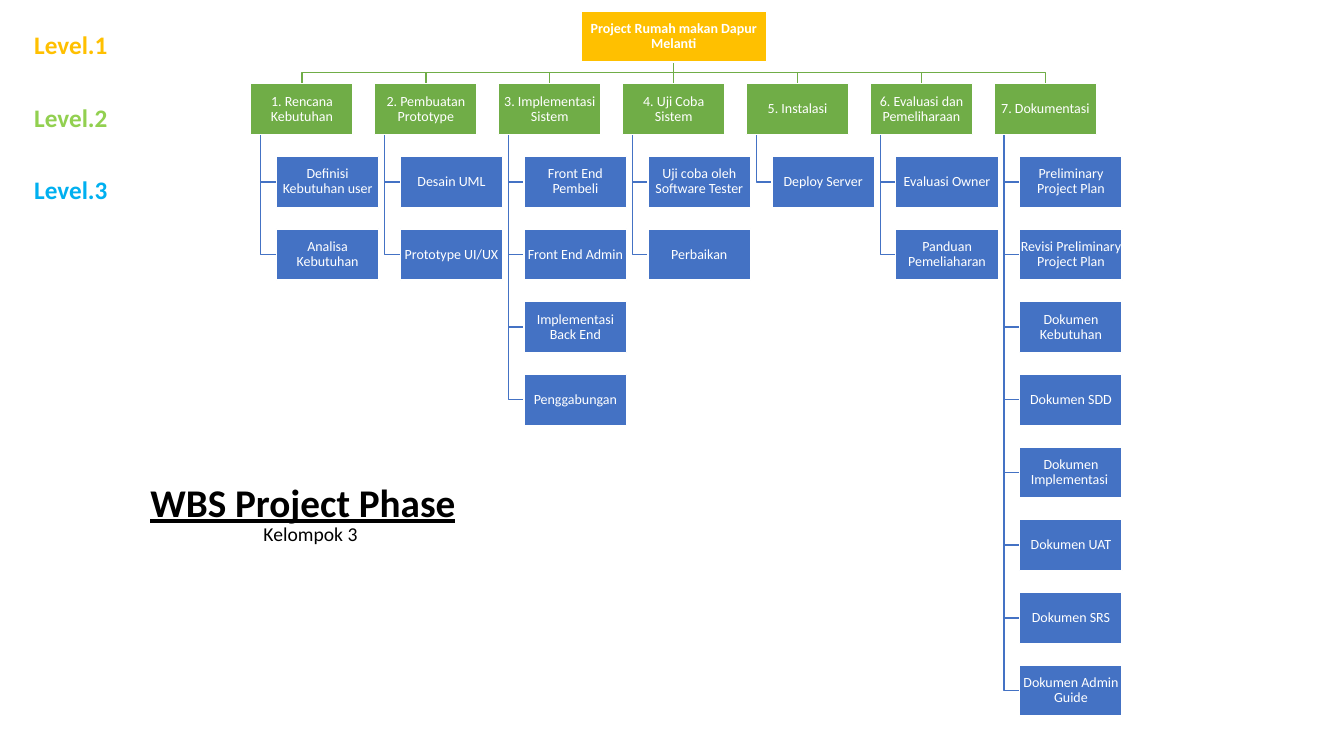
from dataclasses import dataclass
from typing import Optional

from pptx import Presentation
from pptx.dml.color import RGBColor
from pptx.enum.text import MSO_ANCHOR, MSO_AUTO_SIZE, PP_ALIGN
from pptx.util import Pt

PX = 3810  # 240 px to the inch
LEFT, CENTER = PP_ALIGN.LEFT, PP_ALIGN.CENTER
TOP, MIDDLE = MSO_ANCHOR.TOP, MSO_ANCHOR.MIDDLE
NO_FIT = MSO_AUTO_SIZE.NONE
TITLE_ONLY = 5
RECT = 1


@dataclass(frozen=True)
class Theme:
    font: str = "Calibri"
    gold: str = "FFC000"
    green: str = "70AD47"
    blue: str = "4472C4"
    lime: str = "92D050"
    sky: str = "00B0F0"
    white: str = "FFFFFF"
    black: str = "000000"
    small: int = 10
    sub: int = 14
    label: int = 18
    title: int = 28
    line: int = 1


@dataclass(frozen=True)
class Box:
    x: int
    y: int
    w: int
    h: int

    @property
    def mid(self) -> int:
        return self.x + self.w // 2

    @property
    def base(self) -> int:
        return self.y + self.h

    def emu(self) -> tuple[int, ...]:
        return tuple(n * PX for n in (self.x, self.y, self.w, self.h))


@dataclass(frozen=True)
class Style:
    size: int
    color: str
    bold: bool = False
    under: Optional[bool] = None
    align: PP_ALIGN = LEFT


@dataclass(frozen=True)
class Stage:
    name: str
    tasks: tuple[str, ...]


@dataclass(frozen=True)
class Level:
    text: str
    color: str


THEME = Theme()
NODE_W, NODE_H = 244, 122
COL, ROW = 295, 173
STAGE_X, STAGE_Y = 597, 199
INDENT, SPINE = 61, 24
ROOT = Box(1383, 26, 442, NODE_H)
BUS = (ROOT.base + STAGE_Y) // 2

STAGES = (
    Stage("1. Rencana Kebutuhan", ("Definisi Kebutuhan user", "Analisa Kebutuhan")),
    Stage("2. Pembuatan Prototype", ("Desain UML", "Prototype UI/UX")),
    Stage("3. Implementasi Sistem", (
        "Front End Pembeli", "Front End Admin",
        "Implementasi Back End", "Penggabungan")),
    Stage("4. Uji Coba Sistem", ("Uji coba oleh Software Tester", "Perbaikan")),
    Stage("5. Instalasi", ("Deploy Server",)),
    Stage("6. Evaluasi dan Pemeliharaan", ("Evaluasi Owner", "Panduan Pemeliaharan")),
    Stage("7. Dokumentasi", (
        "Preliminary Project Plan", "Revisi Preliminary Project Plan",
        "Dokumen Kebutuhan", "Dokumen SDD", "Dokumen Implementasi ",
        "Dokumen UAT", "Dokumen SRS", "Dokumen Admin Guide")),
)
LEVELS = (
    Level("Level.1", THEME.gold),
    Level("Level.2", THEME.lime),
    Level("Level.3", THEME.sky),
)


def write(shape, text: str, style: Style, anchor=TOP) -> None:
    frame = shape.text_frame
    frame.auto_size = NO_FIT
    frame.word_wrap = True
    frame.vertical_anchor = anchor
    frame.text = text
    para = frame.paragraphs[0]
    para.alignment = style.align
    font = para.font
    font.name = THEME.font
    font.size = Pt(style.size)
    font.bold = style.bold
    font.underline = style.under
    font.color.rgb = RGBColor.from_string(style.color)


def add_node(slide, box: Box, text: str, fill: str, bold: bool = False) -> None:
    node = slide.shapes.add_shape(RECT, *box.emu())
    node.shadow.inherit = False
    node.fill.solid()
    node.fill.fore_color.rgb = RGBColor.from_string(fill)
    node.line.color.rgb = RGBColor.from_string(THEME.white)
    node.line.width = Pt(THEME.line)
    write(node, text, Style(THEME.small, THEME.white, bold, align=CENTER), MIDDLE)
    frame = node.text_frame
    frame.margin_left = frame.margin_right = 2 * PX
    frame.margin_top = frame.margin_bottom = 2 * PX
    frame.paragraphs[0].line_spacing = 0.9


def add_link(slide, points: list[tuple[int, int]], color: str) -> None:
    """Draw an open bent line through the points."""
    path = slide.shapes.build_freeform(*points[0], scale=PX)
    path.add_line_segments(points[1:], close=False)
    link = path.convert_to_shape()
    link.shadow.inherit = False
    link.fill.background()
    link.line.color.rgb = RGBColor.from_string(color)
    link.line.width = Pt(THEME.line)


def add_label(slide, box: Box, text: str, style: Style) -> None:
    write(slide.shapes.add_textbox(*box.emu()), text, style)


def add_stage(slide, col: int, stage: Stage) -> None:
    """Draw one column: its links first, then its nodes."""
    head = Box(STAGE_X + col * COL, STAGE_Y, NODE_W, NODE_H)
    spots = [Box(head.x + INDENT, head.y + row * ROW, NODE_W, NODE_H)
             for row in range(1, len(stage.tasks) + 1)]
    spine = head.x + SPINE
    for spot in reversed(spots):
        turn = spot.y + NODE_H // 2
        add_link(slide, [(spine, head.base), (spine, turn), (spot.x, turn)], THEME.blue)
    bend = [(ROOT.mid, BUS), (head.mid, BUS)] if head.mid != ROOT.mid else []
    add_link(slide, [(ROOT.mid, ROOT.base), *bend, (head.mid, head.y)], THEME.green)
    add_node(slide, head, stage.name, THEME.green)
    for spot, task in zip(spots, stage.tasks):
        add_node(slide, spot, task, THEME.blue)


def main() -> None:
    deck = Presentation()
    deck.slide_width, deck.slide_height = 3200 * PX, 1800 * PX
    slide = deck.slides.add_slide(deck.slide_layouts[TITLE_ONLY])

    title = slide.shapes.title
    title.left, title.top, title.width, title.height = Box(334, 1126, 811, 137).emu()
    write(title, "WBS Project Phase", Style(THEME.title, THEME.black, True, True))
    add_label(slide, Box(334, 1231, 811, 82), "Kelompok 3",
              Style(THEME.sub, THEME.black, align=CENTER))

    for col, stage in enumerate(STAGES):
        add_stage(slide, col, stage)
    add_node(slide, ROOT, "Project Rumah makan Dapur Melanti", THEME.gold, True)

    for row, level in enumerate(LEVELS):
        add_label(slide, Box(58, 58 + row * ROW, 449, 96), level.text,
                  Style(THEME.label, level.color, True))
    deck.save("out.pptx")


if __name__ == "__main__":
    main()
